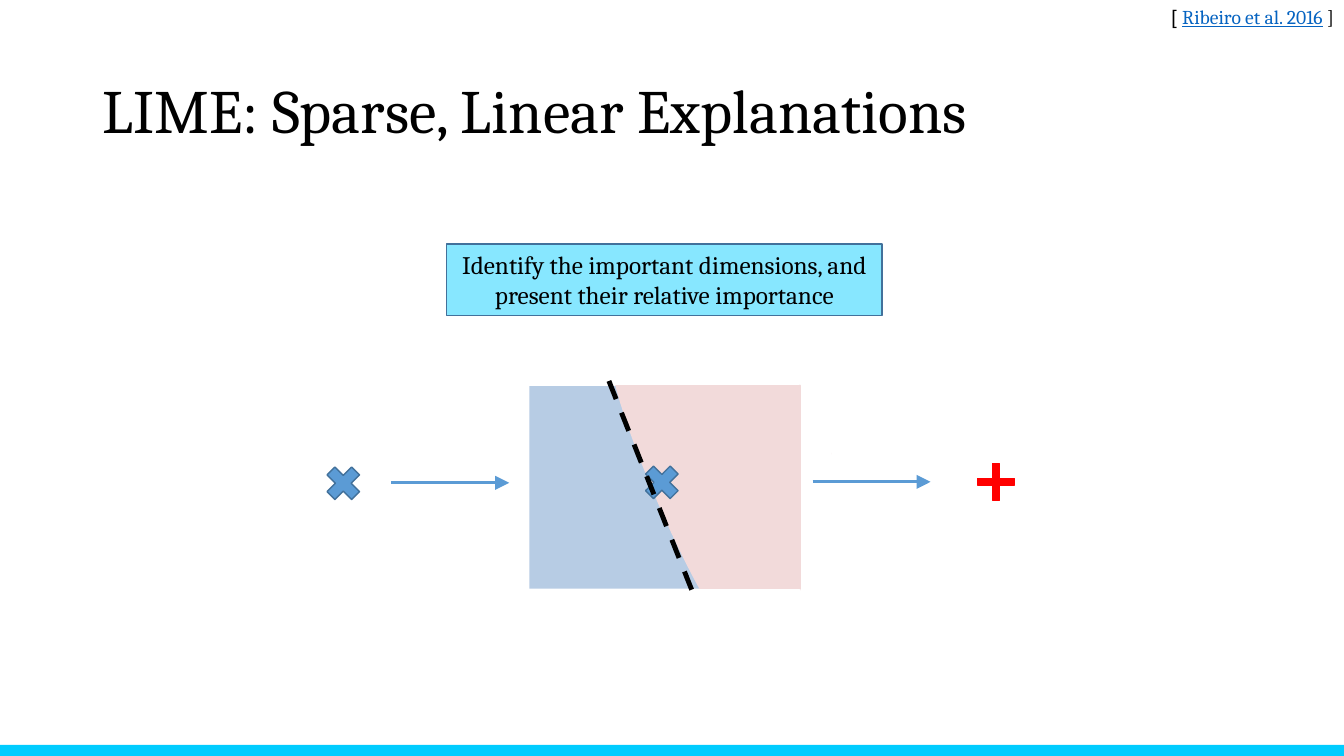
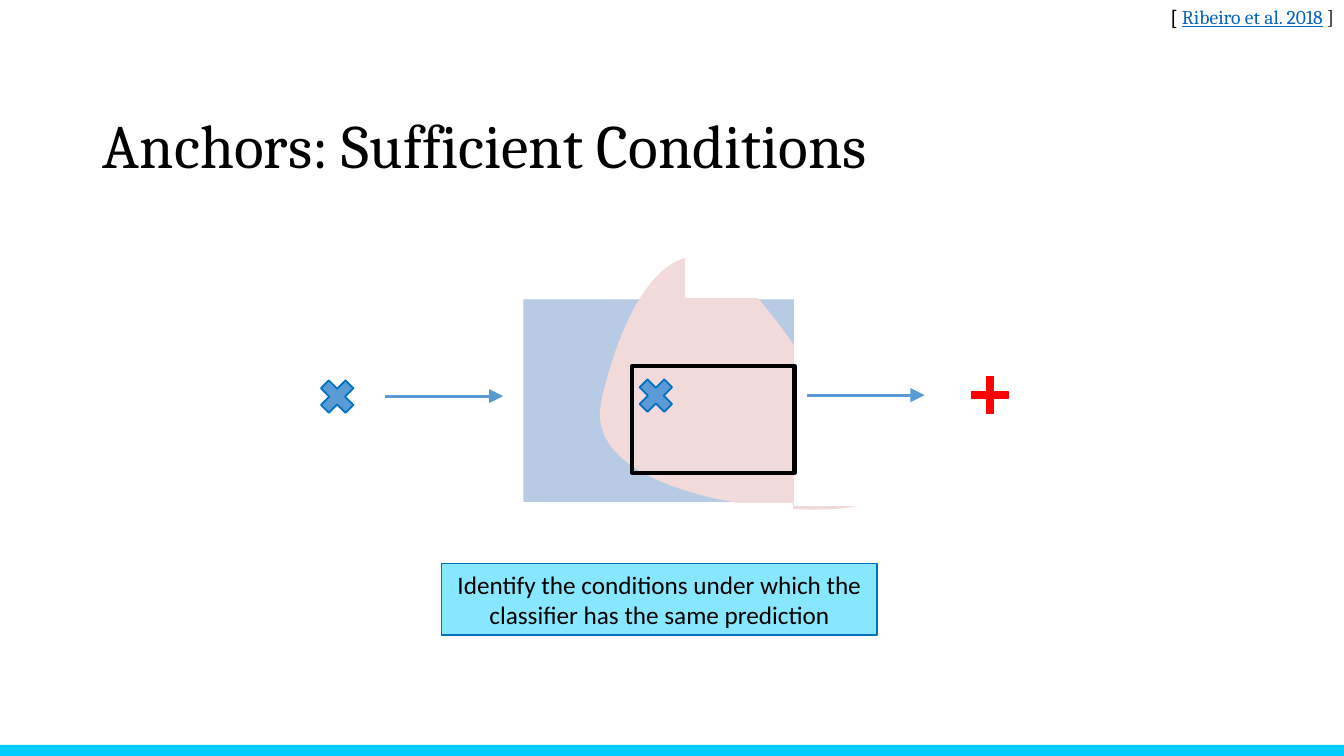
from lxml import etree
from pptx import Presentation
from pptx.dml.color import RGBColor
from pptx.enum.dml import MSO_LINE
from pptx.enum.shapes import MSO_CONNECTOR, MSO_SHAPE
from pptx.enum.text import MSO_ANCHOR, PP_ALIGN
from pptx.oxml.ns import qn
from pptx.util import Inches, Pt

COLORS = {
    "band": "00CCFF", "blue": "B7CCE4", "pink": "F2DADA", "white": "FFFFFF",
    "mark": "5B9BD5", "red": "FF0000", "black": "000000", "link": "0563C1",
    "steel": "42719B", "azure": "0070C0",
}
FONT = "Cambria"
TITLE_ONLY = 5

# Places that both slides share, before each slide's shift
MODEL = (5.25, 3.83, 2.69, 2.01)
MARKS = [(3.17, 4.56), (6.33, 4.55)]
MARK_SIZE = 0.47
PLUS = (9.63, 4.53, 0.5, 0.5)
ARROWS = [(3.88, 4.79), (8.06, 4.78)]
ARROW_LEN = 1.17

# A region is a start point, then Bezier segments of two controls and an end
SLIDES = [
    {
        "title": "LIME: Sparse, Linear Explanations",
        "anchor": MSO_ANCHOR.MIDDLE, "spacing": 0.9,
        "cite": "Ribeiro et al. 2016",
        "note": "Identify the important dimensions, and present their relative importance",
        "font": FONT, "note_at": (4.43, 2.42),
        "shift": (0, 0), "edge": "steel", "width": 1,
        "start": (8.23, 4.66), "turn": 0,
        "curves": [
            ((8.43, 3.35), (6.22, 3.16), (6.07, 3.45)),
            ((5.92, 3.73), (6.96, 6.17), (7.32, 6.37)),
            ((7.68, 6.57), (8.03, 5.96), (8.23, 4.66)),
        ],
        "masks": [(6.89, 5.85, 1.04, 0.57), (6.05, 3.31, 1.88, 0.5),
                  (7.95, 3.73, 0.29, 2.17)],
        "split": ((6.86, 5.85), (6.02, 3.73)),
    },
    {
        "title": "Anchors: Sufficient Conditions",
        "anchor": MSO_ANCHOR.BOTTOM, "spacing": 0.85,
        "cite": "Ribeiro et al. 2018",
        "note": "Identify the conditions under which the classifier has the same prediction",
        "font": "Calibri", "note_at": (4.38, 5.59),
        "shift": (-0.06, -0.86), "edge": "azure", "width": 1.25,
        "start": (7.47, 5.13), "turn": 90,
        "curves": [
            ((8.53, 5.38), (8.69, 2.66), (8.46, 2.47)),
            ((8.22, 2.28), (6.23, 3.57), (6.07, 4.01)),
            ((5.9, 4.45), (6.4, 4.88), (7.47, 5.13)),
        ],
        "masks": [(6.82, 5, 1.04, 0.57), (6.8, 2.45, 1.88, 0.5),
                  (7.88, 2.84, 0.91, 2.17)],
        "anchor_box": (6.27, 3.63, 1.61, 1.06),
    },
]


def rgb(name):
    return RGBColor.from_string(COLORS[name])


def paint(shape, fill=None, edge=None, width=1):
    shape.shadow.inherit = False
    if fill:
        shape.fill.solid()
        shape.fill.fore_color.rgb = rgb(fill)
    else:
        shape.fill.background()
    if edge:
        shape.line.color.rgb = rgb(edge)
        shape.line.width = Pt(width)
    else:
        shape.line.fill.background()


def add_part(shapes, kind, at, fill=None, edge=None, width=1):
    shape = shapes.add_shape(kind, *map(Inches, at))
    paint(shape, fill, edge, width)
    return shape


def add_line(shapes, start, end, color, width):
    line = shapes.add_connector(MSO_CONNECTOR.STRAIGHT, *map(Inches, start + end))
    line.line.color.rgb = rgb(color)
    line.line.width = Pt(width)
    etree.SubElement(line.element.spPr, qn("a:effectLst"))
    return line


def add_arrow(shapes, start):
    end = (start[0] + ARROW_LEN, start[1])
    line = add_line(shapes, start, end, "mark", 2)
    etree.SubElement(line.element.spPr.find(qn("a:ln")), qn("a:tailEnd"),
                     type="triangle", w="lg", len="lg")


def style(run, size, color="black", name=FONT):
    run.font.size = Pt(size)
    run.font.name = name
    run.font.color.rgb = rgb(color)


def trace(start, curves, steps=24):
    """Sample a chain of cubic Bezier curves as points."""
    points = [start]
    for c1, c2, end in curves:
        first = points[-1]
        for i in range(1, steps + 1):
            t = i / steps
            u = 1 - t
            points.append(tuple(
                u**3 * a + 3 * u * u * t * b + 3 * u * t * t * c + t**3 * d
                for a, b, c, d in zip(first, c1, c2, end)))
    return points


def add_title(slide, data):
    title = slide.shapes.title
    title.left, title.top = Inches(0.92), Inches(0.4)
    title.width, title.height = Inches(11.5), Inches(1.45)
    frame = title.text_frame
    frame.text = data["title"]
    frame.vertical_anchor = data["anchor"]
    para = frame.paragraphs[0]
    para.alignment = PP_ALIGN.LEFT
    para.line_spacing = data["spacing"]
    style(para.runs[0], 44)


def add_model(slide, data):
    """Draw the two class regions, trimmed by white masks."""
    group = slide.shapes.add_group_shape().shapes
    add_part(group, MSO_SHAPE.RECTANGLE, moved(MODEL, data), "blue")
    points = [(Inches(x), Inches(y)) for x, y in trace(data["start"], data["curves"])]
    pen = group.build_freeform(*points[0])
    pen.add_line_segments(points[1:], close=True)
    region = pen.convert_to_shape()
    region.rotation = data["turn"]
    paint(region, "pink")
    for mask in data["masks"]:
        add_part(group, MSO_SHAPE.RECTANGLE, mask, "white", "white", data["width"])


def moved(at, data):
    dx, dy = data["shift"]
    return (at[0] + dx, at[1] + dy) + at[2:]


def add_flow(slide, data):
    shapes, width = slide.shapes, data["width"]
    for mark in MARKS:
        at = moved(mark, data) + (MARK_SIZE, MARK_SIZE)
        add_part(shapes, MSO_SHAPE.MATH_MULTIPLY, at, "mark", data["edge"], width)
    for start in ARROWS:
        add_arrow(shapes, moved(start, data))
    plus = add_part(shapes, MSO_SHAPE.MATH_PLUS, moved(PLUS, data), "red", "red", width)
    plus.adjustments[0] = 0.135
    if "split" in data:
        line = add_line(shapes, *data["split"], "black", 3.5)
        line.line.dash_style = MSO_LINE.DASH
    if "anchor_box" in data:
        add_part(shapes, MSO_SHAPE.RECTANGLE, data["anchor_box"], None, "black", 3)


def add_note(slide, data):
    note = add_part(slide.shapes, MSO_SHAPE.RECTANGLE, data["note_at"] + (4.32, 0.71),
                    "band", data["edge"], data["width"])
    color = note.element.spPr.find(qn("a:solidFill"))[0]
    etree.SubElement(color, qn("a:alpha"), val="47000")
    frame = note.text_frame
    frame.word_wrap = True
    frame.text = data["note"]
    para = frame.paragraphs[0]
    para.alignment = PP_ALIGN.CENTER
    style(para.runs[0], 18, name=data["font"])


def add_cite(slide, text):
    box = slide.shapes.add_textbox(*map(Inches, (8.7, 0, 4.63, 0.4)))
    box.text_frame.word_wrap = True
    para = box.text_frame.paragraphs[0]
    para.alignment = PP_ALIGN.RIGHT
    for part, color, font in (("[ ", "black", "Arial"), (text, "link", FONT),
                              (" ]", "black", FONT)):
        run = para.add_run()
        run.text = part
        style(run, 14, color, font)
        run.font.underline = color == "link"


def add_band(slide):
    """Put the bottom band on the layout, so that every slide shows it."""
    band = add_part(slide.shapes, MSO_SHAPE.RECTANGLE, (0, 7.39, 13.33, 0.11), "band")
    band.element.nvSpPr.cNvPr.set("id", "99")
    slide.slide_layout.shapes.element.append(band.element)


def main():
    prs = Presentation()
    prs.slide_width, prs.slide_height = Inches(13.33), Inches(7.5)
    layout = prs.slide_layouts[TITLE_ONLY]
    for i, data in enumerate(SLIDES):
        slide = prs.slides.add_slide(layout)
        if i == 0:
            add_band(slide)
        add_title(slide, data)
        add_model(slide, data)
        add_flow(slide, data)
        add_note(slide, data)
        add_cite(slide, data["cite"])
    prs.save("out.pptx")


if __name__ == "__main__":
    main()
